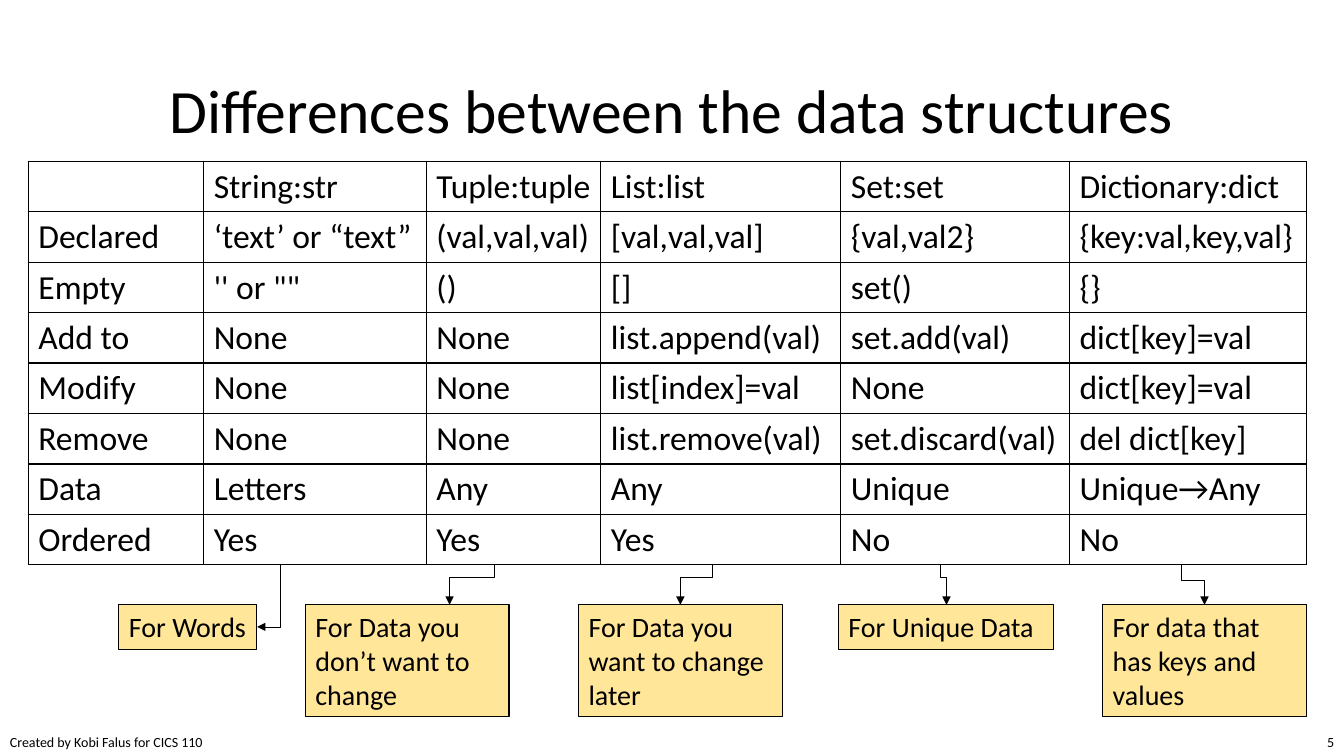
from lxml import etree
from pptx import Presentation
from pptx.dml.color import RGBColor
from pptx.enum.shapes import MSO_CONNECTOR, MSO_SHAPE
from pptx.enum.text import MSO_ANCHOR, PP_ALIGN
from pptx.oxml.ns import qn
from pptx.util import Pt

LEFT, CENTER, RIGHT = PP_ALIGN.LEFT, PP_ALIGN.CENTER, PP_ALIGN.RIGHT
TOP, MIDDLE = MSO_ANCHOR.TOP, MSO_ANCHOR.MIDDLE
ELBOW = MSO_CONNECTOR.ELBOW
RECTANGLE = MSO_SHAPE.RECTANGLE

BLACK, WHITE, NOTE_YELLOW = "000000", "FFFFFF", "FFE699"
FONT = "Calibri"
NOTE_TOP = 432

COLUMN_WIDTHS = [125.3, 159.1, 124.6, 171.4, 163.4, 169.2]
ROW_HEIGHT = 36
ROWS = [
    ["", "String:str", "Tuple:tuple", "List:list", "Set:set", "Dictionary:dict"],
    ["Declared", "‘text’ or “text”", "(val,val,val)", "[val,val,val]", "{val,val2}", "{key:val,key,val}"],
    ["Empty", "'' or \"\"", "()", "[]", "set()", "{}"],
    ["Add to", "None", "None", "list.append(val)", "set.add(val)", "dict[key]=val"],
    ["Modify", "None", "None", "list[index]=val", "None", "dict[key]=val"],
    ["Remove", "None", "None", "list.remove(val)", "set.discard(val)", "del dict[key]"],
    ["Data", "Letters", "Any", "Any", "Unique", "Unique→Any"],
    ["Ordered", "Yes", "Yes", "Yes", "No", "No"],
]

NOTES = [
    ("For Words", 85, 98.6, 31.7),
    ("For Data you don’t want to change", 218.2, 145.4, 79.9),
    ("For Data you want to change later", 413.3, 145.4, 79.9),
    ("For Unique Data", 599, 153.4, 31.7),
    ("For data that has keys and values", 787.7, 145.4, 79.9),
]

ARROWS = [
    ((200.2, 397.4), (183.6, 447.8), "bentConnector2"),
    ((352.8, 392.4), (321.1, NOTE_TOP), "bentConnector3"),
    ((508.6, 392.4), (486, NOTE_TOP), "bentConnector3"),
    ((671.8, 392.4), (676.1, NOTE_TOP), "bentConnector3"),
    ((843.8, 397.4), (860.4, NOTE_TOP), "bentConnector3"),
]


def color(value):
    return RGBColor.from_string(value)


def write(frame, text, size, alignment=LEFT, spacing=1.0):
    paragraph = frame.paragraphs[0]
    paragraph.text = text
    for name, value in {"alignment": alignment, "line_spacing": spacing}.items():
        setattr(paragraph, name, value)
    for name, value in {"name": FONT, "size": Pt(size)}.items():
        setattr(paragraph.font, name, value)
    paragraph.font.color.rgb = color(BLACK)


def add_text(slide, text, box, size, alignment=LEFT, anchor=TOP, wrap=True, spacing=1.0):
    frame = slide.shapes.add_textbox(*map(Pt, box)).text_frame
    for name, value in {"word_wrap": wrap, "vertical_anchor": anchor}.items():
        setattr(frame, name, value)
    write(frame, text, size, alignment, spacing)


def add_note(slide, text, left, width, height):
    shape = slide.shapes.add_shape(RECTANGLE, Pt(left), Pt(NOTE_TOP), Pt(width), Pt(height))
    shape.shadow.inherit = False
    shape.fill.solid()
    shape.fill.fore_color.rgb = color(NOTE_YELLOW)
    shape.line.color.rgb = color(BLACK)
    shape.line.width = Pt(0.75)
    shape.text_frame.vertical_anchor = TOP
    shape.text_frame.word_wrap = True
    write(shape.text_frame, text, 20)


def add_arrow(slide, start, end, preset):
    middle_x, middle_y = (start[0] + end[0]) / 2, (start[1] + end[1]) / 2
    half_run = (end[1] - start[1]) / 2
    half_rise = abs(end[0] - start[0]) / 2
    goes_left = end[0] < start[0]
    direction = 1 if goes_left else -1
    connector = slide.shapes.add_connector(
        ELBOW,
        Pt(middle_x - direction * half_run), Pt(middle_y - half_rise),
        Pt(middle_x + direction * half_run), Pt(middle_y + half_rise),
    )
    connector.line.color.rgb = color(BLACK)
    connector.line.width = Pt(0.5)
    properties = connector.element.spPr
    properties.find(qn("a:xfrm")).set("rot", str((90 if goes_left else 270) * 60000))
    properties.find(qn("a:prstGeom")).set("prst", preset)
    etree.SubElement(properties.find(qn("a:ln")), qn("a:tailEnd"), type="triangle")
    etree.SubElement(properties, qn("a:effectLst"))


def add_borders(cell):
    properties = cell._tc.get_or_add_tcPr()
    for side in ("a:lnL", "a:lnR", "a:lnT", "a:lnB"):
        border = etree.SubElement(properties, qn(side), w=str(Pt(1)))
        fill = etree.SubElement(border, qn("a:solidFill"))
        etree.SubElement(fill, qn("a:srgbClr"), val=BLACK)


def add_comparison_table(slide):
    table = slide.shapes.add_table(
        len(ROWS), len(COLUMN_WIDTHS), Pt(20.2), Pt(115.2),
        Pt(sum(COLUMN_WIDTHS)), Pt(ROW_HEIGHT * len(ROWS)),
    ).table
    table.first_row = False
    table.horz_banding = False
    for column, width in zip(table.columns, COLUMN_WIDTHS):
        column.width = Pt(width)
    for row, texts in zip(table.rows, ROWS):
        row.height = Pt(ROW_HEIGHT)
        for cell, text in zip(row.cells, texts):
            add_borders(cell)
            cell.fill.solid()
            cell.fill.fore_color.rgb = color(WHITE)
            write(cell.text_frame, text, 24)


def main():
    presentation = Presentation()
    presentation.slide_width = Pt(960)
    presentation.slide_height = Pt(540)
    slide = presentation.slides.add_slide(presentation.slide_layouts[6])
    add_text(slide, "Created by Kobi Falus for CICS 110", (0, 520.6, 154.8, 19.4), 10, wrap=False)
    add_text(slide, "5", (920.2, 520.6, 39.8, 19.4), 10, RIGHT)
    add_text(slide, "Differences between the data structures", (66, 28.8, 828, 104.4), 44,
             CENTER, MIDDLE, spacing=0.9)
    for note in NOTES:
        add_note(slide, *note)
    for arrow in ARROWS:
        add_arrow(slide, *arrow)
    add_comparison_table(slide)
    presentation.save("out.pptx")


if __name__ == "__main__":
    main()
